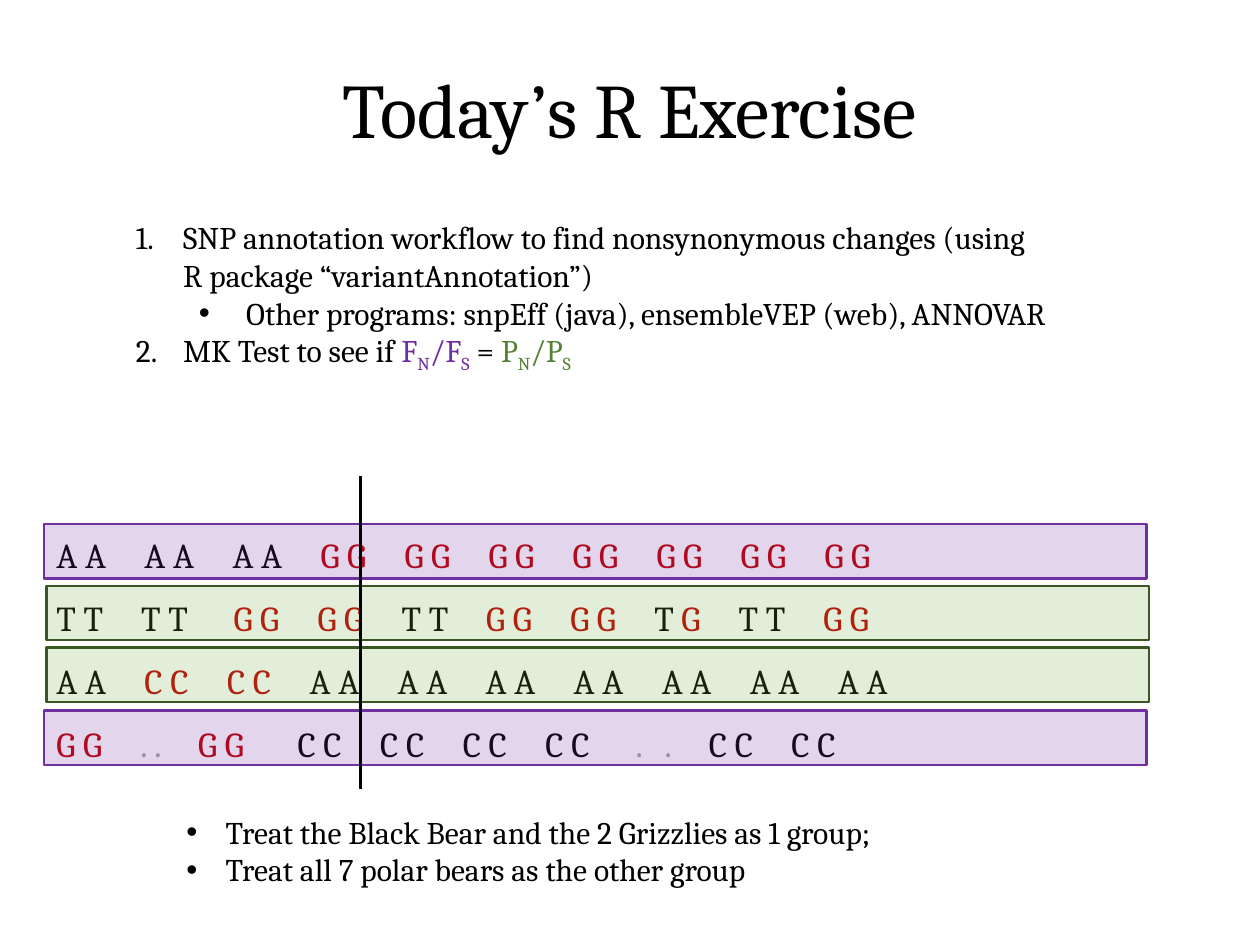
from lxml import etree
from pptx import Presentation
from pptx.dml.color import RGBColor
from pptx.enum.dml import MSO_FILL
from pptx.enum.shapes import MSO_CONNECTOR, MSO_SHAPE
from pptx.enum.text import MSO_ANCHOR, MSO_AUTO_SIZE, PP_ALIGN
from pptx.oxml.ns import qn
from pptx.util import Pt

RECT = MSO_SHAPE.RECTANGLE
LINE = MSO_CONNECTOR.STRAIGHT
SOLID = MSO_FILL.SOLID
MIDDLE, TOP = MSO_ANCHOR.MIDDLE, MSO_ANCHOR.TOP
CENTER, LEFT = PP_ALIGN.CENTER, PP_ALIGN.LEFT
GROW, FIXED = MSO_AUTO_SIZE.SHAPE_TO_FIT_TEXT, MSO_AUTO_SIZE.NONE

INK = RGBColor(0x00, 0x00, 0x00)
RED = RGBColor(0xC0, 0x00, 0x00)
GREY = RGBColor(0xA6, 0xA6, 0xA6)
PURPLE = RGBColor(0x70, 0x30, 0xA0)
LEAF = RGBColor(0x54, 0x82, 0x35)
GREEN = RGBColor(0x70, 0xAD, 0x47)
FOREST = RGBColor(0x38, 0x57, 0x23)
FONT = "Cambria"

TITLE = "Today’s R Exercise"

# Each paragraph: mark, level, runs of (text, colour, is subscript)
TASKS = [
    ("1.", 0, [("SNP annotation workflow to find nonsynonymous changes "
                "(using R package “variantAnnotation”)", INK, False)]),
    ("•", 1, [("Other programs: snpEff (java), ensembleVEP (web), ANNOVAR",
               INK, False)]),
    ("1.", 0, [("MK Test to see if ", INK, False),
               ("F", PURPLE, False), ("N", PURPLE, True),
               ("/F", PURPLE, False), ("S", PURPLE, True),
               (" = ", INK, False),
               ("P", LEAF, False), ("N", LEAF, True),
               ("/P", LEAF, False), ("S", LEAF, True)]),
]
GROUPS = [
    ("•", 0, [("Treat the Black Bear and the 2 Grizzlies as 1 group;",
               INK, False)]),
    ("•", 0, [("Treat all 7 polar bears as the other group", INK, False)]),
]

# Each SNP row: (colour, genotypes, gap after the last one in spaces)
SNPS = [
    [(INK, "AA AA AA", 5), (RED, "GG GG GG GG GG GG GG", 5)],
    [(INK, "TT TT", 6), (RED, "GG GG", 5), (INK, "TT", 5),
     (RED, "GG GG", 5), (INK, "T", 1), (RED, "G", 5), (INK, "TT", 5),
     (RED, "GG", 5)],
    [(INK, "AA", 5), (RED, "CC CC", 5), (INK, "AA AA AA AA AA AA AA", 5)],
    [(RED, "GG", 5), (GREY, "..", 5), (RED, "GG", 7),
     (INK, "CC CC CC CC", 6), (GREY, ".", 3), (GREY, ".", 5),
     (INK, "CC CC", 5)],
]
WIDTH = {"A": 11.95, "G": 10.8, "T": 11, "C": 10.4, ".": 3.3, " ": 4.4}

# Each band: left, top, fill, line
BANDS = [
    (25.2, 299.5, PURPLE, PURPLE),
    (25.2, 406.1, PURPLE, PURPLE),
    (26.6, 334.8, GREEN, FOREST),
    (26.6, 370.1, GREEN, FOREST),
]
BAND_W, BAND_H = 630, 31


def node(parent, tag, **attrs):
    item = etree.SubElement(parent, qn(tag))
    for key, value in attrs.items():
        item.set(key, str(value))
    return item


def put(slide, box, paras, size, align=LEFT, anchor=TOP, space=None,
        hang=0, deep=0, wrap=True, fit=GROW):
    """Add a text box; a paragraph is (mark, level, runs[, tab stops])."""
    shape = slide.shapes.add_textbox(*map(Pt, box))
    frame = shape.text_frame
    frame.word_wrap, frame.auto_size = wrap, fit
    frame.vertical_anchor = anchor
    for num, (mark, level, runs, *tabs) in enumerate(paras):
        para = frame.add_paragraph() if num else frame.paragraphs[0]
        para.alignment, para.level = align, level
        if space:
            para.line_spacing = space
        props = para._p.get_or_add_pPr()
        if mark:
            props.set("marL", str(Pt(hang + level * deep)))
            props.set("indent", str(-Pt(hang)))
        if mark == "•":
            node(props, "a:buFont", typeface="Arial")
            node(props, "a:buChar", char=mark)
        elif mark:
            node(props, "a:buFont", typeface="+mj-lt")
            node(props, "a:buAutoNum", type="arabicPeriod")
        if tabs:
            stops = node(props, "a:tabLst")
            for stop in tabs[0]:
                node(stops, "a:tab", pos=Pt(stop), algn="l")
        for words, color, sub in runs:
            run = para.add_run()
            run.text = words
            run.font.name, run.font.size = FONT, Pt(size)
            run.font.color.rgb = color
            if sub:
                run._r.get_or_add_rPr().set("baseline", "-25000")


def lay(row):
    """Turn a SNP row into a paragraph with tab stops at the genotypes."""
    runs, stops, x = [], [], 0
    cells = []
    for color, names, gap in row:
        names = names.split()
        gaps = [5] * (len(names) - 1) + [gap]
        cells += [(color, *cell) for cell in zip(names, gaps)]
    for num, (color, name, gap) in enumerate(cells):
        words = " ".join(name)
        x += sum(WIDTH[char] for char in words) + gap * WIDTH[" "]
        if num < len(cells) - 1:
            words += " " if gap == 1 else "\t"
            if gap > 1:
                stops.append(round(x, 2))
        runs.append((words, color, False))
    return None, 0, runs, stops


def band(slide, left, top, fill, line):
    shape = slide.shapes.add_shape(RECT, Pt(left), Pt(top),
                                   Pt(BAND_W), Pt(BAND_H))
    shape.shadow.inherit = False
    shape.fill.solid()
    shape.fill.fore_color.rgb = fill
    if shape.fill.type == SOLID:
        color = shape._element.spPr.find(qn("a:solidFill"))[0]
        node(color, "a:alpha", val=20000)
    shape.line.color.rgb = line
    shape.line.width = Pt(1.5)


def main():
    deck = Presentation()
    deck.slide_width, deck.slide_height = Pt(720), Pt(540)
    slide = deck.slides.add_slide(deck.slide_layouts[6])

    put(slide, (49.7, 28.8, 620.6, 72), [(None, 0, [(TITLE, INK, False)])],
        44, align=CENTER, anchor=MIDDLE, space=0.9, fit=FIXED)
    put(slide, (70.6, 121, 536.4, 116.6), TASKS, 18, hang=27, deep=36)
    put(slide, (25.2, 289.4, 645.1, 152.6), [lay(row) for row in SNPS],
        20, space=1.5)
    for item in BANDS:
        band(slide, *item)
    put(slide, (99.4, 460.8, 475.2, 51.1), GROUPS, 18, hang=22.5,
        wrap=False)

    split = slide.shapes.add_connector(LINE, Pt(206), Pt(272.2),
                                       Pt(206), Pt(450.7))
    split.line.color.rgb = INK
    split.line.width = Pt(2.25)
    node(split._element.spPr, "a:effectLst")

    deck.save("out.pptx")


if __name__ == "__main__":
    main()
